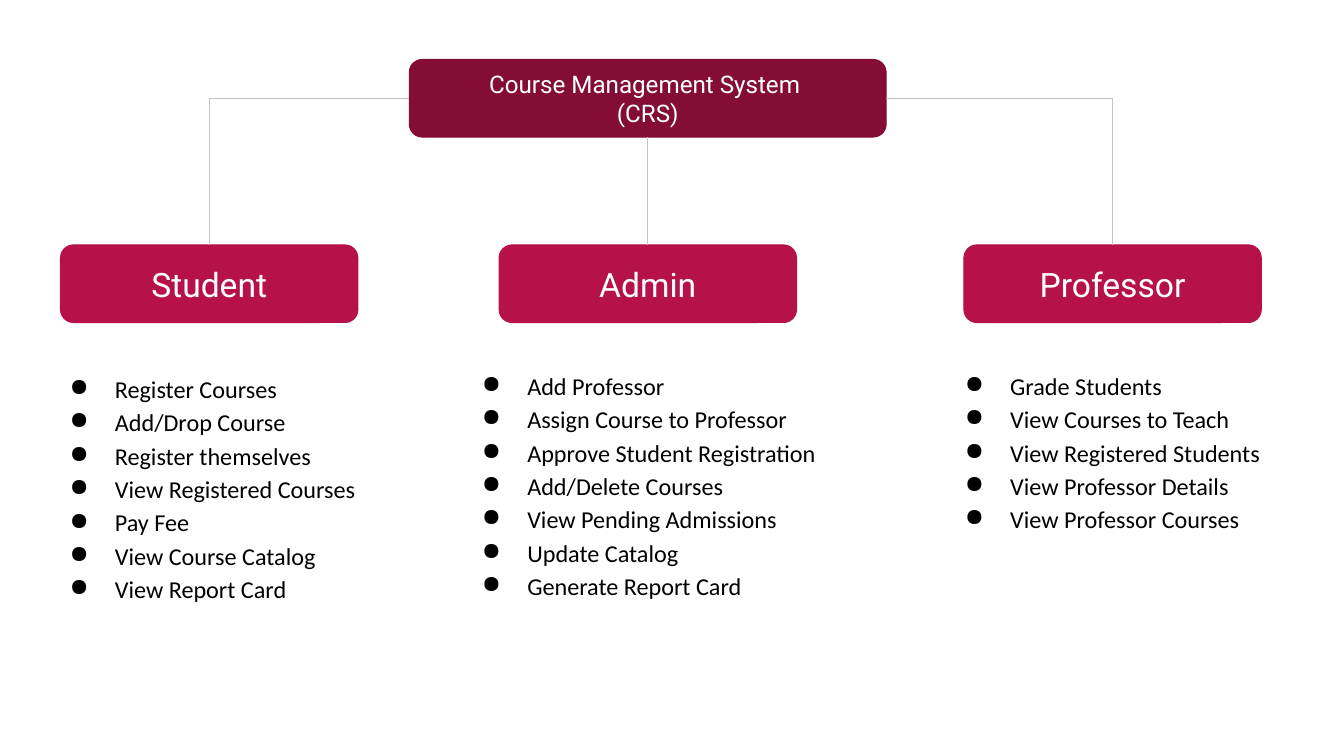
from dataclasses import dataclass
from lxml.etree import SubElement
from pptx import Presentation
from pptx.dml.color import RGBColor as Rgb
from pptx.enum.shapes import MSO_CONNECTOR as Link, MSO_SHAPE as Kind
from pptx.enum.text import MSO_ANCHOR as Anchor, MSO_AUTO_SIZE as Fit, PP_ALIGN as Align
from pptx.oxml.ns import qn
from pptx.util import Inches, Pt


@dataclass(frozen=True)
class Theme:
    dark: Rgb = Rgb.from_string("840D35")
    red: Rgb = Rgb.from_string("B61249")
    gray: Rgb = Rgb.from_string("C2C2C2")
    white: Rgb = Rgb.from_string("FFFFFF")
    black: Rgb = Rgb.from_string("000000")
    head: str = "Roboto"
    body: str = "Calibri"
    small: Pt = Pt(17.3)
    large: Pt = Pt(24)
    line: Pt = Pt(0.75)
    pad: Inches = Inches(0.13)


THEME = Theme()
ROOT = (4.06, 0.59, 4.73, 0.77)
ROLE_TOP, ROLE_WIDTH, ROLE_HEIGHT = 2.43, 2.95, 0.77
ROLES = [
    ("Student", 0.6, (0.34, 3.54, 3.46, 2.95), [
        "Register Courses", "Add/Drop Course", "Register themselves",
        "View Registered Courses", "Pay Fee", "View Course Catalog",
        "View Report Card"]),
    ("Admin", 4.95, (4.43, 3.51, 3.98, 2.62), [
        "Add Professor", "Assign Course to Professor",
        "Approve Student Registration", "Add/Delete Courses",
        "View Pending Admissions", "Update Catalog", "Generate Report Card"]),
    ("Professor", 9.56, (9.22, 3.51, 3.44, 1.95), [
        "Grade Students", "View Courses to Teach", "View Registered Students",
        "View Professor Details", "View Professor Courses"]),
]


def set_pad(frame):
    frame.word_wrap = True
    frame.margin_left = frame.margin_right = THEME.pad
    frame.margin_top = frame.margin_bottom = THEME.pad


def style(para, face, size, color):
    for run in para.runs:
        run.font.name = face
        run.font.size = size
        run.font.color.rgb = color


def add_node(slide, box, text, fill, size):
    node = slide.shapes.add_shape(Kind.ROUNDED_RECTANGLE, *map(Inches, box))
    node.shadow.inherit = False
    node.fill.solid()
    node.fill.fore_color.rgb = fill
    node.line.color.rgb = fill
    node.line.width = THEME.line
    frame = node.text_frame
    set_pad(frame)
    frame.vertical_anchor = Anchor.MIDDLE
    para = frame.paragraphs[0]
    para.text = text
    para.alignment = Align.CENTER
    style(para, THEME.head, size, THEME.white)
    return node


def add_link(slide, kind, start, end):
    link = slide.shapes.add_connector(kind, *start, *end)
    link.line.color.rgb = THEME.gray
    link.line.width = THEME.line
    props = link._element.spPr
    SubElement(props, qn("a:effectLst"))
    if kind == Link.ELBOW:
        guides = props.find(qn("a:prstGeom")).get_or_add_avLst()
        SubElement(guides, qn("a:gd"), name="adj1", fmla="val 0")
    return link


def join(slide, root, node):
    mid = node.left + node.width // 2
    start = mid, node.top
    side = root.top + root.height // 2
    if mid < root.left:
        add_link(slide, Link.ELBOW, start, (root.left, side))
    elif mid > root.left + root.width:
        add_link(slide, Link.ELBOW, start, (root.left + root.width, side))
    else:
        link = add_link(slide, Link.STRAIGHT, start, (mid, root.top + root.height))
        link.begin_connect(node, 0)
        link.end_connect(root, 2)


def add_list(slide, box, items):
    frame = slide.shapes.add_textbox(*map(Inches, box)).text_frame
    set_pad(frame)
    frame.auto_size = Fit.SHAPE_TO_FIT_TEXT
    frame.text = "\n".join(items)
    for para in frame.paragraphs:
        para.line_spacing = 1.15
        props = para._p.get_or_add_pPr()
        props.set("marL", str(Inches(0.67)))
        props.set("indent", str(Inches(-0.45)))
        tint = SubElement(props, qn("a:buClr"))
        SubElement(tint, qn("a:srgbClr"), val=str(THEME.black))
        SubElement(props, qn("a:buChar"), char="●")
        style(para, THEME.body, THEME.small, THEME.black)


def add_chart_tree(slide):
    root = add_node(slide, ROOT, "Course Management System \v(CRS)",
                    THEME.dark, THEME.small)
    for name, left, area, items in ROLES:
        box = left, ROLE_TOP, ROLE_WIDTH, ROLE_HEIGHT
        node = add_node(slide, box, name, THEME.red, THEME.large)
        join(slide, root, node)
        add_list(slide, area, items)


def main():
    deck = Presentation()
    deck.slide_width = Inches(13.33)
    deck.slide_height = Inches(7.5)
    add_chart_tree(deck.slides.add_slide(deck.slide_layouts[6]))
    deck.save("out.pptx")


if __name__ == "__main__":
    main()
